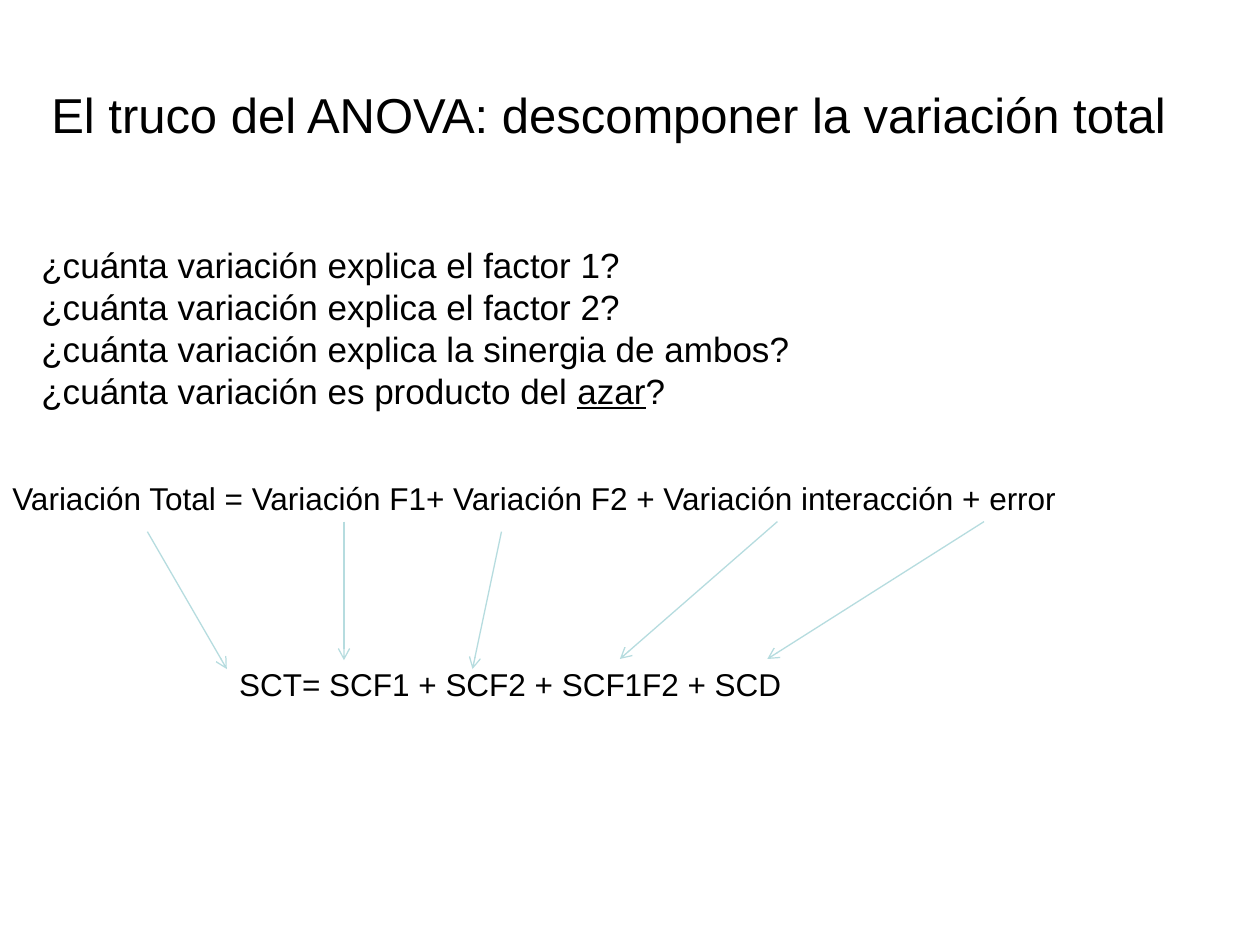
"""Build the slide on splitting total variation in ANOVA."""
from lxml.etree import SubElement
from pptx import Presentation
from pptx.dml.color import RGBColor
from pptx.enum.shapes import MSO_CONNECTOR as Connector
from pptx.enum.text import MSO_AUTO_SIZE as AutoSize
from pptx.oxml.ns import qn
from pptx.util import Inches, Pt

BLACK = RGBColor(0x00, 0x00, 0x00)
PALE_TEAL = RGBColor(0xB6, 0xDC, 0xDF)

TITLE = "El truco del ANOVA: descomponer la variación total"
QUESTIONS = [
    [("¿cuánta variación explica el factor 1?", False)],
    [("¿cuánta variación explica el factor 2?", False)],
    [("¿cuánta variación explica la sinergia de ambos?", False)],
    [("¿cuánta variación es producto del ", False), ("azar", True), ("?", False)],
]
VARIATION = "Variación Total = Variación F1+ Variación F2 + Variación interacción + error"
SUMS_OF_SQUARES = "SCT= SCF1 + SCF2 + SCF1F2 + SCD"

TERM_LINKS = [
    ((3.98, 4.22), (3.75, 5.31)),
    ((6.17, 4.14), (4.92, 5.23)),
    ((7.81, 4.14), (6.09, 5.23)),
    ((2.73, 4.14), (2.73, 5.24)),
    ((1.17, 4.22), (1.8, 5.31)),
]


def plain(text):
    """Return one paragraph holding a single run without underline."""
    return [[(text, False)]]


def add_text(slide, place, paragraphs, size):
    """Add a wrapped text box; each paragraph is a list of (text, underlined)."""
    frame = slide.shapes.add_textbox(*map(Inches, place)).text_frame
    frame.word_wrap = True
    frame.auto_size = AutoSize.SHAPE_TO_FIT_TEXT
    for index, pieces in enumerate(paragraphs):
        paragraph = frame.add_paragraph() if index else frame.paragraphs[0]
        for text, underlined in pieces:
            run = paragraph.add_run()
            run.text = text
            style = {"name": "Arial", "size": Pt(size), "underline": underlined}
            for attribute, value in style.items():
                setattr(run.font, attribute, value)
            run.font.color.rgb = BLACK


def add_arrow(slide, start, end):
    """Add a thin arrow from a variation term to its sum of squares."""
    arrow = slide.shapes.add_connector(
        Connector.STRAIGHT, *map(Inches, (*start, *end))
    )
    arrow.line.color.rgb = PALE_TEAL
    arrow.line.width = Pt(0.75)
    SubElement(arrow.line._get_or_add_ln(), qn("a:tailEnd"), type="arrow")
    SubElement(arrow._element.spPr, qn("a:effectLst"))


def main():
    """Compose and save the slide."""
    deck = Presentation()
    deck.slide_width, deck.slide_height = Inches(10), Inches(7.5)
    slide = deck.slides.add_slide(deck.slide_layouts[6])
    add_text(slide, (0.31, 0.62, 9.3, 0.57), plain(TITLE), 28)
    add_text(slide, (0.23, 1.88, 9.45, 1.45), QUESTIONS, 20)
    add_text(slide, (0, 3.75, 9.84, 0.4), plain(VARIATION), 18)
    add_text(slide, (1.8, 5.23, 5.23, 0.4), plain(SUMS_OF_SQUARES), 18)
    for start, end in TERM_LINKS:
        add_arrow(slide, start, end)
    deck.save("out.pptx")


if __name__ == "__main__":
    main()
